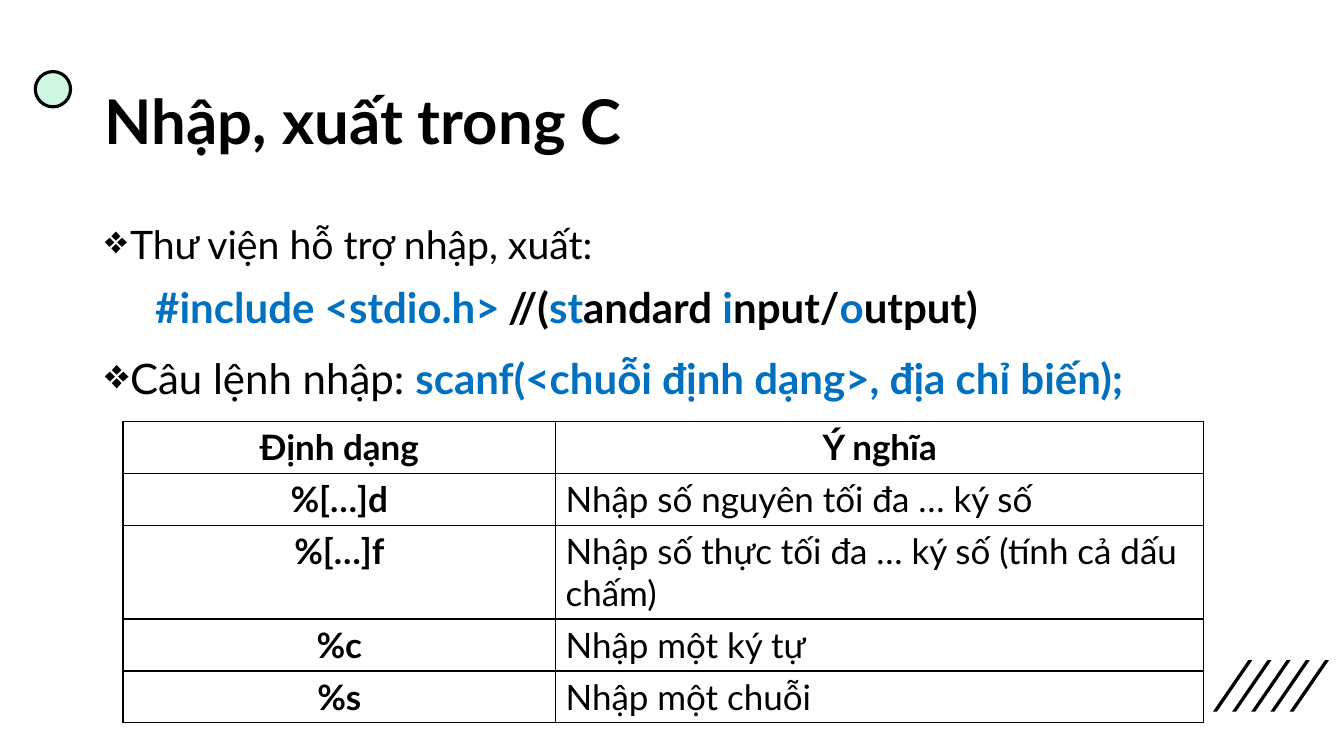
"""Build the slide on input and output in C."""
from lxml.etree import SubElement
from pptx import Presentation
from pptx.dml.color import RGBColor
from pptx.enum.shapes import MSO_SHAPE
from pptx.enum.text import MSO_ANCHOR, MSO_AUTO_SIZE, PP_ALIGN
from pptx.oxml.ns import qn
from pptx.util import Inches, Pt

BLACK = RGBColor(0x00, 0x00, 0x00)
WHITE = RGBColor(0xFF, 0xFF, 0xFF)
BLUE = RGBColor(0x00, 0x70, 0xC0)
MINT = RGBColor(0xCF, 0xF7, 0xE1)
FONT = "Lato"


def set_font(font, size, color=BLACK, bold=False):
    font.name, font.size, font.bold = FONT, Pt(size), bold
    font.color.rgb = color


def set_frame(frame, anchor):
    frame.word_wrap = True
    frame.auto_size = MSO_AUTO_SIZE.NONE
    frame.vertical_anchor = anchor
    frame.margin_left = frame.margin_right = frame.margin_top = Inches(0.12)
    frame.margin_bottom = Inches(0.1)


prs = Presentation()
prs.slide_width, prs.slide_height = Inches(13.33), Inches(7.5)
slide = prs.slides.add_slide(prs.slide_layouts[5])
shapes = slide.shapes
slide.background.fill.solid()
slide.background.fill.fore_color.rgb = WHITE

for i in range(5):
    left = 12.03 + 0.19 * i
    outline = [(left + dx, y) for dx, y in
               [(0.04, 7.06), (0, 7.06), (0.35, 6.55), (0.39, 6.55)]]
    points = [(Inches(x), Inches(y)) for x, y in outline]
    builder = shapes.build_freeform(*points[0], scale=1.0)
    builder.add_line_segments(points[1:], close=True)
    slash = builder.convert_to_shape()
    slash.shadow.inherit = False
    slash.fill.solid()
    slash.fill.fore_color.rgb = BLACK
    slash.line.fill.background()

dot = shapes.add_shape(MSO_SHAPE.OVAL, Inches(0.35), Inches(0.71),
                       Inches(0.35), Inches(0.35))
dot.shadow.inherit = False
dot.fill.solid()
dot.fill.fore_color.rgb = MINT
dot.line.color.rgb = BLACK
dot.line.width = Pt(2.25)

title = shapes.title
title.left, title.top = Inches(0.92), Inches(0.4)
title.width, title.height = Inches(11.5), Inches(1.45)
set_frame(title.text_frame, MSO_ANCHOR.MIDDLE)
heading = title.text_frame.paragraphs[0]
heading.text = "Nhập, xuất trong C"
heading.alignment = PP_ALIGN.LEFT
heading.line_spacing = 1.14
set_font(heading.font, 44, bold=True)

body = shapes.add_textbox(Inches(0.92), Inches(2), Inches(11.5), Inches(5.28)).text_frame
set_frame(body, MSO_ANCHOR.TOP)
BODY = [
    (True, [("Thư viện hỗ trợ nhập, xuất:", 28, BLACK, False)]),
    (False, [("#include <stdio.h>", 30, BLUE, True), (" ", 24, BLUE, True),
             ("//(", 30, BLACK, True), ("st", 30, BLUE, True),
             ("andard ", 30, BLACK, True), ("i", 30, BLUE, True),
             ("nput/", 30, BLACK, True), ("o", 30, BLUE, True),
             ("utput)", 30, BLACK, True)]),
    (True, [("Câu lệnh nhập: ", 30, BLACK, False),
            ("scanf(<chuỗi định dạng>, địa chỉ biến);", 30, BLUE, True)]),
]
for i, (bulleted, runs) in enumerate(BODY):
    line = body.add_paragraph() if i else body.paragraphs[0]
    line.line_spacing = 1.14
    line.space_before = Pt(10 if bulleted else 5)
    line.level = 0 if bulleted else 1
    props = line._p.get_or_add_pPr()
    props.set("marL", str(Inches(0.25 if bulleted else 0.5)))
    props.set("indent", str(Inches(-0.25 if bulleted else 0)))
    if bulleted:
        SubElement(props, qn("a:buChar")).set("char", "❖")
    for text, size, color, bold in runs:
        run = line.add_run()
        run.text = text
        set_font(run.font, size, color, bold)

FORMATS = [
    ("Định dạng", "Ý nghĩa"),
    ("%[…]d", "Nhập số nguyên tối đa … ký số"),
    ("%[…]f", "Nhập số thực tối đa … ký số (tính cả dấu chấm)"),
    ("%c", "Nhập một ký tự"),
    ("%s", "Nhập một chuỗi"),
]
table = shapes.add_table(len(FORMATS), 2, Inches(1.22), Inches(4.18),
                         Inches(10.72), Inches(0.41 * len(FORMATS))).table
table.columns[0].width, table.columns[1].width = Inches(4.29), Inches(6.43)
for r, row in enumerate(FORMATS):
    for c, text in enumerate(row):
        cell = table.cell(r, c)
        strong = r == 0 or c == 0
        entry = cell.text_frame.paragraphs[0]
        entry.text = text
        entry.alignment = PP_ALIGN.CENTER if strong else PP_ALIGN.LEFT
        set_font(entry.font, 25, bold=strong)
        cell_props = cell._tc.get_or_add_tcPr()
        for side in ("a:lnL", "a:lnR", "a:lnT", "a:lnB"):
            border = SubElement(cell_props, qn(side), w=str(Pt(1)))
            paint = SubElement(border, qn("a:solidFill"))
            SubElement(paint, qn("a:srgbClr"), val=str(BLACK))
        cell.fill.solid()
        cell.fill.fore_color.rgb = WHITE

prs.save("out.pptx")
